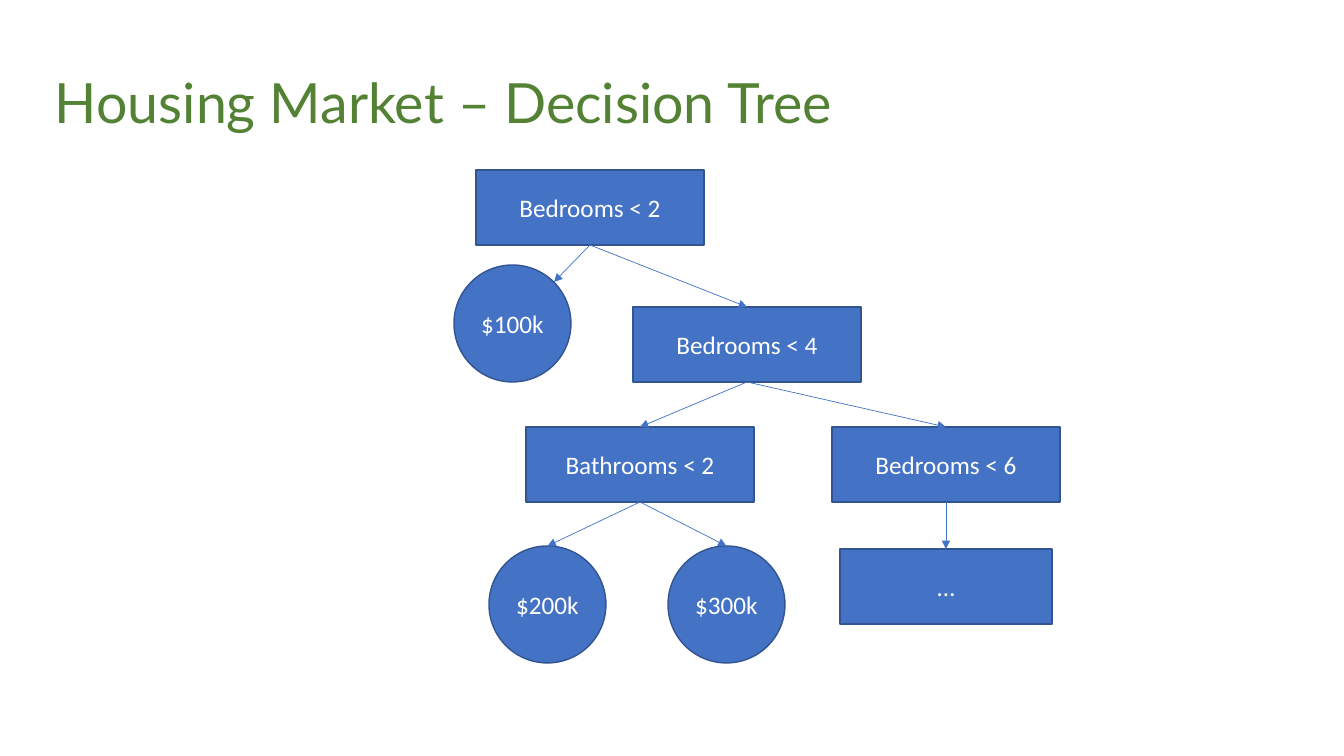
from pptx import Presentation
from pptx.dml.color import RGBColor
from pptx.enum.shapes import MSO_CONNECTOR, MSO_SHAPE
from pptx.enum.text import MSO_ANCHOR, PP_ALIGN
from pptx.oxml.ns import qn
from pptx.util import Pt
from lxml import etree

SCALE = 914400 / 100.8  # EMU in one px
GREEN = RGBColor(0x54, 0x82, 0x35)
BLUE = RGBColor(0x44, 0x72, 0xC4)
NAVY = RGBColor(0x32, 0x54, 0x91)
WHITE = RGBColor(0xFF, 0xFF, 0xFF)
RECT, OVAL = MSO_SHAPE.RECTANGLE, MSO_SHAPE.OVAL
STRAIGHT = MSO_CONNECTOR.STRAIGHT
MIDDLE, TOP = MSO_ANCHOR.MIDDLE, MSO_ANCHOR.TOP
CENTER = PP_ALIGN.CENTER
TITLE = {"name": "Lato", "size": Pt(39.6)}
LABEL = {"name": "Calibri", "size": Pt(18)}
TEST = (228, 75)
PRICE = (117, 117)
UPPER, LOWER = 0, 2

# name: text, kind, left, top, size
NODES = {
    "root": ("Bedrooms < 2", RECT, 476, 170, TEST),
    "low": ("$100k", OVAL, 454, 265, PRICE),
    "four": ("Bedrooms < 4", RECT, 633, 307, TEST),
    "bath": ("Bathrooms < 2", RECT, 526, 427, TEST),
    "six": ("Bedrooms < 6", RECT, 832, 427, TEST),
    "mid": ("$200k", OVAL, 489, 546, PRICE),
    "high": ("$300k", OVAL, 668, 546, PRICE),
    "more": ("…", RECT, 840, 549, (212, 75)),
}
LINKS = [("root", "four"), ("four", "bath"), ("four", "six"),
         ("bath", "mid"), ("bath", "high"), ("six", "more")]


def px(num):
    return round(num * SCALE)


def write(frame, text, style, color):
    part = frame.paragraphs[0]
    run = part.add_run()
    run.text = text
    for key, value in style.items():
        setattr(run.font, key, value)
    run.font.color.rgb = color
    return part


def add_title(slide, text):
    box = slide.shapes.add_textbox(px(45), px(66), px(1252), px(85))
    frame = box.text_frame
    frame.word_wrap = True
    frame.vertical_anchor = TOP
    for side in ("left", "top", "right", "bottom"):
        setattr(frame, "margin_" + side, px(10))
    write(frame, text, TITLE, GREEN).line_spacing = 0.9


def add_node(slide, text, kind, left, top, size):
    node = slide.shapes.add_shape(kind, *map(px, (left, top, *size)))
    node.shadow.inherit = False
    node.fill.solid()
    node.fill.fore_color.rgb = BLUE
    node.line.color.rgb = NAVY
    node.line.width = Pt(1)
    frame = node.text_frame
    frame.word_wrap = True
    frame.vertical_anchor = MIDDLE
    write(frame, text, LABEL, WHITE).alignment = CENTER


def add_arrow(slide, start, end=None, tip=(0, 0)):
    """Run from the foot of start to the top of end, or to a free tip."""
    line = slide.shapes.add_connector(STRAIGHT, 0, 0, *map(px, tip))
    line.begin_connect(start, LOWER)
    if end is not None:
        line.end_connect(end, UPPER)
    line.line.color.rgb = BLUE
    line.line.width = Pt(0.5)
    props = line._element.spPr
    etree.SubElement(props.find(qn("a:ln")), qn("a:tailEnd"), type="triangle")
    etree.SubElement(props, qn("a:effectLst"))


def main():
    deck = Presentation()
    deck.slide_width, deck.slide_height = px(1344), px(756)
    slide = deck.slides.add_slide(deck.slide_layouts[6])
    add_title(slide, "Housing Market – Decision Tree")
    nodes = {}
    for name, node in NODES.items():
        add_node(slide, *node)
        nodes[name] = slide.shapes[-1]
    add_arrow(slide, nodes["root"], tip=(554, 282))
    for start, end in LINKS:
        add_arrow(slide, nodes[start], nodes[end])
    deck.save("out.pptx")


if __name__ == "__main__":
    main()
